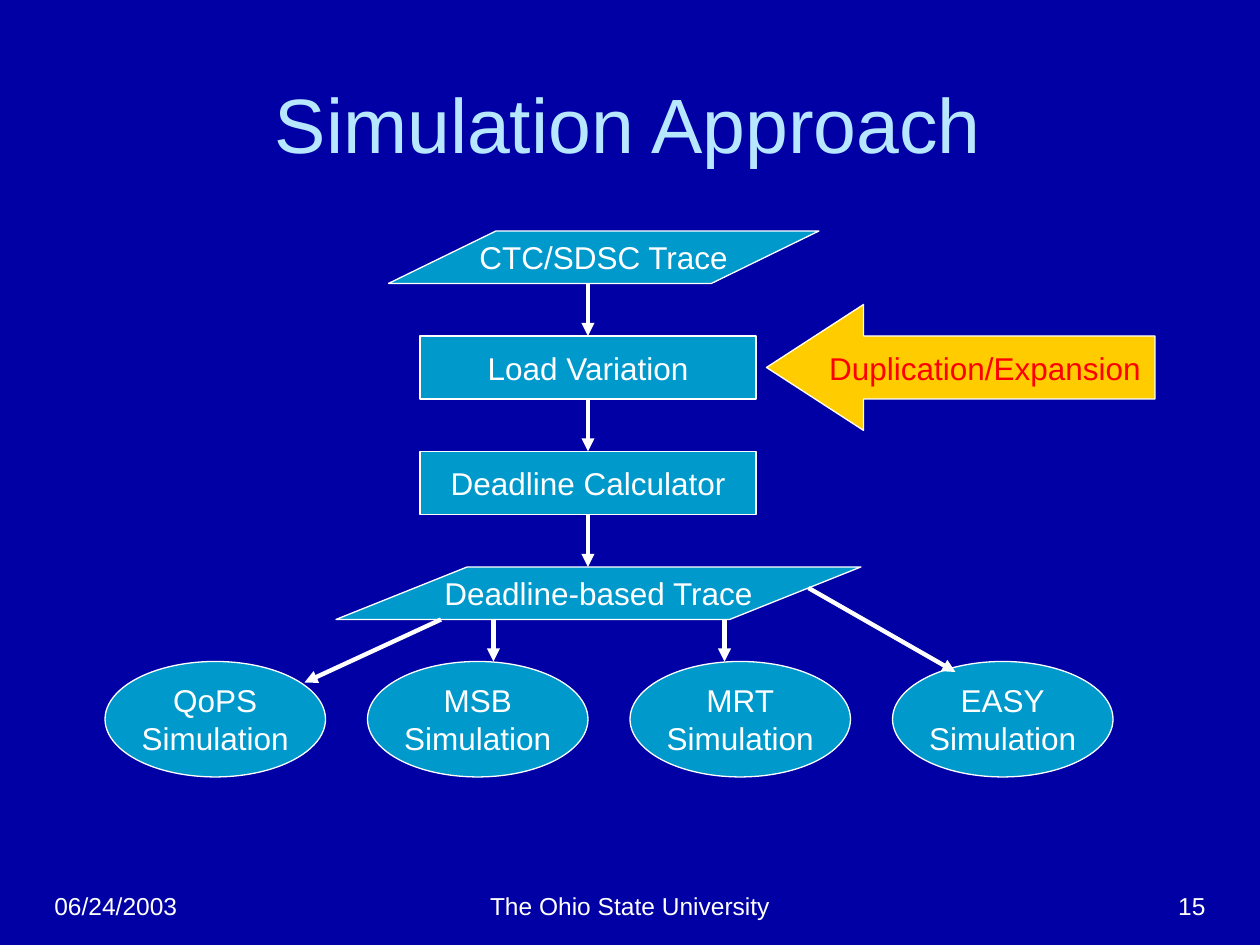
import pptx
import pptx.util
import pptx.dml.color
import pptx.enum.shapes
import pptx.enum.text
import pptx.oxml
import pptx.oxml.ns

Pt = pptx.util.Pt
SHAPE = pptx.enum.shapes.MSO_SHAPE
ALIGN = pptx.enum.text.PP_ALIGN
ANCHOR = pptx.enum.text.MSO_ANCHOR

THEME = {
    "font": "Arial",
    "background": "0000A4", "title": "B7E7FF", "text": "FFFFFF", "line": "FFFFFF",
    "step": "0099CC", "note": "FFCC00", "note_text": "FF0000",
    "title_size": 44, "label_size": 18, "footer_size": 14,
    "outline": 0.75, "arrow": 2.5,
}

TITLE = ("Simulation Approach", (24, 18, 670, 104))
FOOTERS = [  # text, left, width, alignment
    ("06/24/2003", 24, 180, ALIGN.LEFT),
    ("The Ohio State University", 246, 228, ALIGN.CENTER),
    ("15", 516, 180, ALIGN.RIGHT),
]
FOOTER_TOP, FOOTER_HEIGHT = 492, 37.5

STEPS = [  # text, preset, left, width, height, adjustments
    ("CTC/SDSC Trace", SHAPE.PARALLELOGRAM, 222, 246, 30, [2.05]),
    ("Load Variation", SHAPE.RECTANGLE, 240, 192, 36, []),
    ("Deadline Calculator", SHAPE.RECTANGLE, 240, 192, 36, []),
    ("Deadline-based Trace", SHAPE.PARALLELOGRAM, 192, 300, 30, [2.5]),
]
STEPS_TOP, STEP_GAP, FLOW_X = 132, 30, 336

SCHEMES = ["QoPS", "MSB", "MRT", "EASY"]
SCHEME_LEFT, SCHEME_TOP, SCHEME_PITCH = 60, 378, 150
SCHEME_WIDTH, SCHEME_HEIGHT = 126, 66
BRANCHES = [  # start, end
    ((252, 354), (174, 390)),
    ((282, 354), (282, 378)),
    ((414, 354), (414, 378)),
    ((462, 336), (546, 384)),
]

NOTE = ("Duplication/Expansion", (438, 174, 222, 72), [0.5, 0.771])


def color(name):
    """Return a theme colour."""
    return pptx.dml.color.RGBColor.from_string(THEME[name])


def write(shape, text, size="label_size", ink="text", align=ALIGN.CENTER,
          anchor=ANCHOR.MIDDLE, wrap=False):
    """Put text in a shape, one paragraph for each line."""
    frame = shape.text_frame
    frame.word_wrap = wrap
    frame.vertical_anchor = anchor
    frame.text = text
    for paragraph in frame.paragraphs:
        paragraph.alignment = align
        font = paragraph.runs[0].font
        font.name = THEME["font"]
        font.size = Pt(THEME[size])
        font.color.rgb = color(ink)


def add_text(slide, text, box, **text_format):
    """Add a wrapping text box."""
    shape = slide.shapes.add_textbox(*map(Pt, box))
    write(shape, text, wrap=True, **text_format)


def add_node(slide, text, preset, box, adjustments=(), fill="step", ink="text"):
    """Add an outlined, labelled preset shape."""
    shape = slide.shapes.add_shape(preset, *map(Pt, box))
    shape.shadow.inherit = False
    for index, value in enumerate(adjustments):
        shape.adjustments[index] = value
    shape.fill.solid()
    shape.fill.fore_color.rgb = color(fill)
    shape.line.color.rgb = color("line")
    shape.line.width = Pt(THEME["outline"])
    write(shape, text, ink=ink)


def add_arrow(slide, start, end):
    """Add a straight connector with a triangle at its end."""
    connector = slide.shapes.add_connector(
        pptx.enum.shapes.MSO_CONNECTOR.STRAIGHT, *map(Pt, start + end))
    connector.line.color.rgb = color("line")
    connector.line.width = Pt(THEME["arrow"])
    head = pptx.oxml.parse_xml(
        f'<a:tailEnd {pptx.oxml.ns.nsdecls("a")} type="triangle"/>')
    effects = pptx.oxml.parse_xml(f'<a:effectLst {pptx.oxml.ns.nsdecls("a")}/>')
    connector.line._get_or_add_ln().append(head)
    connector._element.spPr.append(effects)


def add_flow(slide):
    """Stack the steps and join each one to the next."""
    top = STEPS_TOP
    for index, (text, preset, left, width, height, adjustments) in enumerate(STEPS):
        if index:
            add_arrow(slide, (FLOW_X, top - STEP_GAP), (FLOW_X, top))
        add_node(slide, text, preset, (left, top, width, height), adjustments)
        top += height + STEP_GAP


def add_schemes(slide):
    """Add the row of simulations and the arrows leading to them."""
    for index, scheme in enumerate(SCHEMES):
        left = SCHEME_LEFT + index * SCHEME_PITCH
        add_node(slide, f"{scheme}\nSimulation", SHAPE.OVAL,
                 (left, SCHEME_TOP, SCHEME_WIDTH, SCHEME_HEIGHT))
    for start, end in BRANCHES:
        add_arrow(slide, start, end)


def build():
    """Build and save the presentation."""
    presentation = pptx.Presentation()
    presentation.slide_width, presentation.slide_height = Pt(720), Pt(540)
    slide = presentation.slides.add_slide(presentation.slide_layouts[6])
    slide.background.fill.solid()
    slide.background.fill.fore_color.rgb = color("background")

    for text, left, width, align in FOOTERS:
        add_text(slide, text, (left, FOOTER_TOP, width, FOOTER_HEIGHT),
                 size="footer_size", align=align, anchor=ANCHOR.BOTTOM)
    add_text(slide, *TITLE, size="title_size", ink="title")
    add_flow(slide)
    add_schemes(slide)
    text, box, adjustments = NOTE
    add_node(slide, text, SHAPE.LEFT_ARROW, box, adjustments,
             fill="note", ink="note_text")
    presentation.save("out.pptx")


build()
